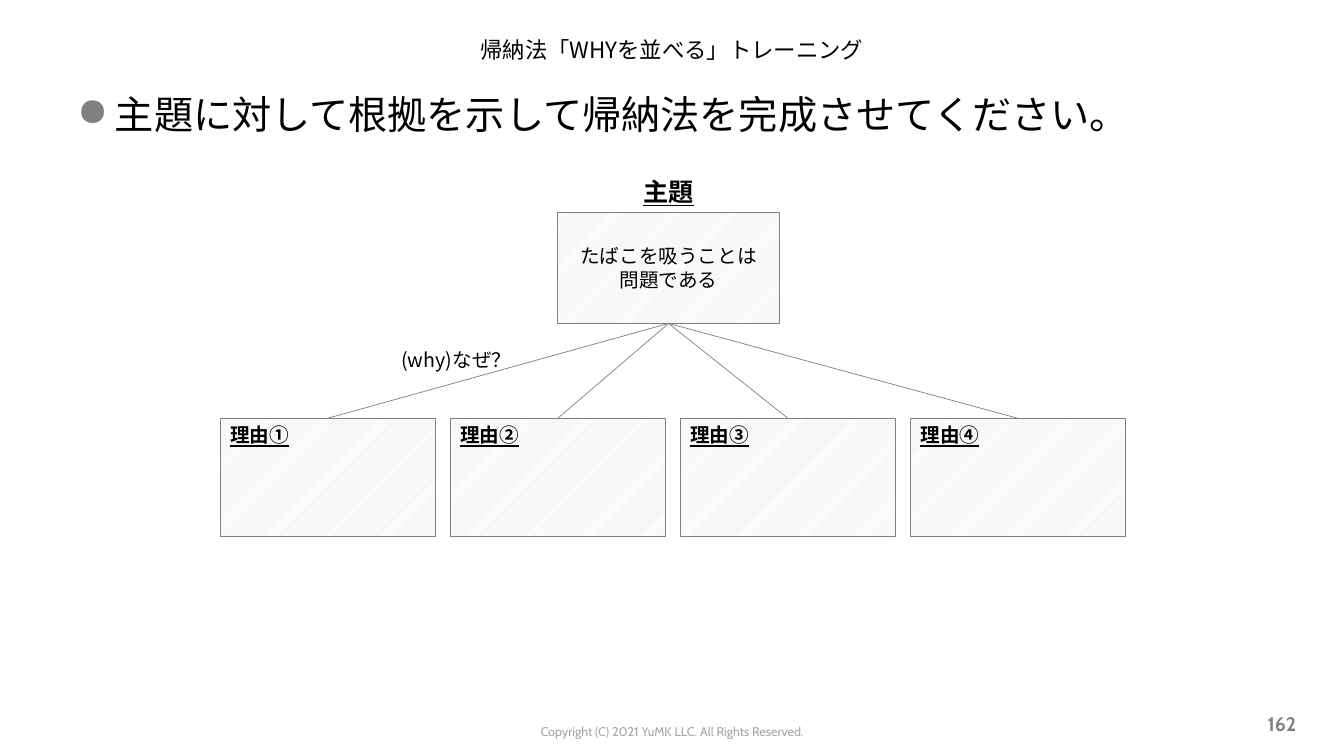
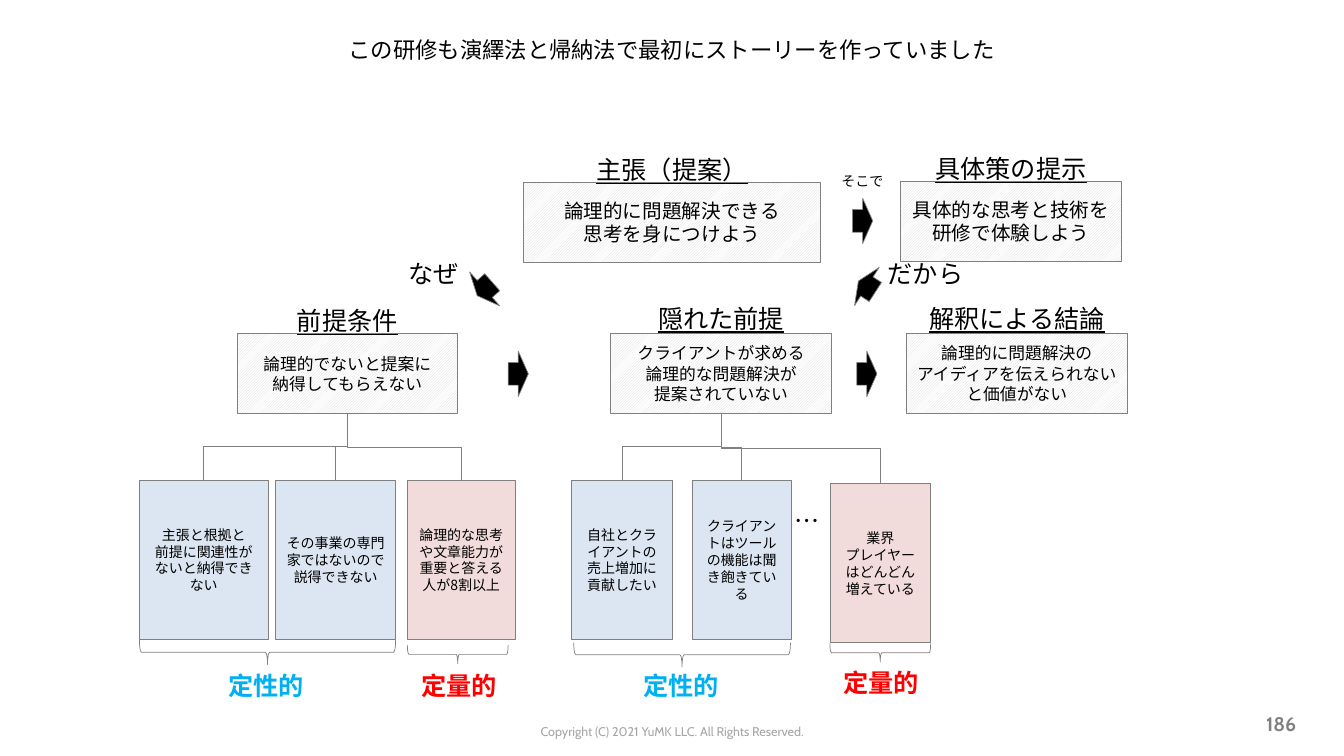
from dataclasses import dataclass

from lxml.etree import SubElement
from pptx import Presentation
from pptx.dml.color import RGBColor
from pptx.enum.dml import MSO_PATTERN
from pptx.enum.shapes import MSO_CONNECTOR, MSO_SHAPE
from pptx.enum.text import MSO_ANCHOR, MSO_AUTO_SIZE, PP_ALIGN
from pptx.oxml.ns import qn
from pptx.util import Emu, Pt

COLUMNS, ROWS = 160, 90
CELL = 76200  # one square grid cell, in EMU
TOP, BOTTOM = 0, 2  # connection sites of a rectangle


@dataclass(frozen=True)
class Theme:
    body_font: str = "Noto Sans CJK JP"
    footer_font: str = "Cabin"
    ink: str = "000000"
    grey: str = "808080"
    pale_grey: str = "A6A6A6"
    hatch: str = "D9D9D9"
    paper: str = "FFFFFF"
    blue_fill: str = "DCE6F2"
    red_fill: str = "F2DCDB"
    blue: str = "00B0F0"
    red: str = "FF0000"
    lead: int = 28
    heading: int = 18
    title: int = 16
    text: int = 14
    compact: int = 12
    small: int = 10
    footer: int = 9
    hairline: float = 0.5


def rgb(value):
    return RGBColor.from_string(value)


def cells(*lengths):
    return [Emu(round(length * CELL)) for length in lengths]


class Deck:
    """Holds the theme and the slide being drawn; places are in grid cells."""

    def __init__(self, theme):
        self.theme = theme
        self.file = Presentation()
        self.file.slide_width, self.file.slide_height = cells(COLUMNS, ROWS)
        self.slide = None

    def new_slide(self, title, number):
        t = self.theme
        self.slide = self.file.slides.add_slide(self.file.slide_layouts[6])
        self.text((50.4, 85.6, 59.2, 3), "Copyright (C) 2021 YuMK LLC. All Rights Reserved.",
                  t.footer, t.pale_grey, PP_ALIGN.CENTER, font=t.footer_font, wrap=True)
        self.text((8, 2.6, 144, 6.5), title, t.title, align=PP_ALIGN.CENTER,
                  anchor=MSO_ANCHOR.MIDDLE, wrap=True)
        self.text((118.2, 83.8, 37.3, 4.8), number, t.text, t.grey, PP_ALIGN.RIGHT,
                  MSO_ANCHOR.MIDDLE, bold=True, font=t.footer_font, wrap=True)

    def add_lines(self, frame, words, size, color=None, align=PP_ALIGN.LEFT,
                  anchor=MSO_ANCHOR.TOP, bold=False, underline=False, font=None):
        """Fill a text frame, one paragraph for each line of words."""
        frame.vertical_anchor = anchor
        for index, line in enumerate(words.split("\n")):
            paragraph = frame.add_paragraph() if index else frame.paragraphs[0]
            paragraph.alignment = align
            run = paragraph.add_run()
            run.text = line
            style = run.font
            style.size, style.bold, style.underline = Pt(size), bold, underline
            style.color.rgb = rgb(color or self.theme.ink)
            style.name = font or self.theme.body_font
            SubElement(style._element, qn("a:ea"), typeface=style.name)

    def text(self, place, words, size, *args, wrap=False, **style):
        label = self.slide.shapes.add_textbox(*cells(*place))
        label.text_frame.word_wrap = wrap
        if not wrap:
            label.text_frame.auto_size = MSO_AUTO_SIZE.SHAPE_TO_FIT_TEXT
        self.add_lines(label.text_frame, words, size, *args, **style)
        return label

    def bullet(self, place, words):
        item = self.text(place, words, self.theme.lead, wrap=True)
        properties = item.text_frame.paragraphs[0]._p.get_or_add_pPr()
        hanging = round(4.5 * CELL)
        properties.set("marL", str(hanging))
        properties.set("indent", str(-hanging))
        tint = SubElement(properties, qn("a:buClr"))
        SubElement(tint, qn("a:srgbClr"), val=self.theme.grey)
        SubElement(properties, qn("a:buChar"), char="●")

    def outline(self, line):
        line.color.rgb = rgb(self.theme.grey)
        line.width = Pt(self.theme.hairline)

    def shape(self, kind, place, rotation=0):
        part = self.slide.shapes.add_shape(kind, *cells(*place))
        part.shadow.inherit = False
        part.rotation = rotation
        self.outline(part.line)
        return part

    def box(self, place, words, size, fill=None, align=PP_ALIGN.CENTER,
            anchor=MSO_ANCHOR.MIDDLE, **style):
        """Rectangle with text; hatched unless a fill colour is given."""
        part = self.shape(MSO_SHAPE.RECTANGLE, place)
        if fill:
            part.fill.solid()
            part.fill.fore_color.rgb = rgb(fill)
        else:
            part.fill.patterned()
            part.fill.pattern = MSO_PATTERN.LIGHT_UPWARD_DIAGONAL
            part.fill.fore_color.rgb = rgb(self.theme.hatch)
            part.fill.back_color.rgb = rgb(self.theme.paper)
        part.text_frame.word_wrap = True
        self.add_lines(part.text_frame, words, size, align=align, anchor=anchor, **style)
        return part

    def heading(self, place, words, lift=3.9, bold=False):
        """Underlined heading centred over the box at place."""
        left, top, width, _ = place
        self.text((left, top - lift, width, 4.8), words, self.theme.heading,
                  align=PP_ALIGN.CENTER, bold=bold, underline=True)

    def arrow(self, left, top, rotation=0):
        part = self.shape(MSO_SHAPE.RIGHT_ARROW, (left, top, 2.4, 5.4), rotation)
        part.fill.solid()
        part.fill.fore_color.rgb = rgb(self.theme.ink)

    def brace(self, left, top, width, depth):
        """Brace that spans width and points down."""
        place = (left + (width - depth) / 2, top + (depth - width) / 2, depth, width)
        self.shape(MSO_SHAPE.LEFT_BRACE, place, 270).fill.background()

    def link(self, parent, child, kind=MSO_CONNECTOR.STRAIGHT):
        line = self.slide.shapes.add_connector(kind, 0, 0, 0, 0)
        line.begin_connect(parent, BOTTOM)
        line.end_connect(child, TOP)
        self.outline(line.line)
        SubElement(line._element.spPr, qn("a:effectLst"))
        return line

    def branch(self, parent, child):
        """Elbow that leaves the parent downwards: a quarter-turned connector."""
        line = self.link(parent, child, MSO_CONNECTOR.ELBOW)
        across, down = line.end_x - line.begin_x, line.end_y - line.begin_y
        middle_x = (line.begin_x + line.end_x) // 2
        middle_y = (line.begin_y + line.end_y) // 2
        line.width, line.height = Emu(down), Emu(abs(across))
        line.left = Emu(middle_x - down // 2)
        line.top = Emu(middle_y - abs(across) // 2)
        frame = line._element.spPr.find(qn("a:xfrm"))
        frame.attrib.pop("flipH", None)
        frame.set("rot", "5400000")
        frame.set("flipV", "1" if across > 0 else "0")


def induction_exercise(deck):
    t = deck.theme
    deck.new_slide("帰納法「WHYを並べる」トレーニング", "162")
    deck.bullet((8, 10.2, 144, 69.5), "主題に対して根拠を示して帰納法を完成させてください。")
    subject_place = (66.4, 25.3, 26.4, 13.2)
    subject = deck.box(subject_place, "たばこを吸うことは\n問題である", t.text)
    deck.heading(subject_place, "主題", 4.9, bold=True)
    for index, digit in enumerate("①②③④"):
        reason = deck.box((26.2 + 27.4 * index, 49.8, 25.6, 14), "理由" + digit, t.text,
                          align=PP_ALIGN.LEFT, anchor=MSO_ANCHOR.TOP, bold=True, underline=True)
        deck.link(subject, reason)
    deck.text((46.6, 40.8, 16.3, 4.1), "(why)なぜ？", t.text)


def training_story(deck):
    t = deck.theme
    deck.new_slide("この研修も演繹法と帰納法で最初にストーリーを作っていました", "186")

    statements = [
        ("主張（提案）", (62.3, 21.7, 35.4, 9.5), t.text, 3.9,
         "論理的に問題解決できる\n思考を身につけよう"),
        ("具体策の提示", (107.2, 21.6, 26.3, 9.5), t.text, 3.9,
         "具体的な思考と技術を\n研修で体験しよう"),
        ("前提条件", (28.2, 39.7, 26.3, 9.5), t.compact, 3.9,
         "論理的でないと提案に\n納得してもらえない"),
        ("隠れた前提", (72.7, 39.7, 26.3, 9.5), t.compact, 4.2,
         "クライアントが求める\n論理的な問題解決が\n提案されていない"),
        ("解釈による結論", (107.9, 39.7, 26.3, 9.5), t.compact, 4.2,
         "論理的に問題解決の\nアイディアを伝えられないと価値がない"),
    ]
    boxes = {}
    for name, place, size, lift, words in statements:
        boxes[name] = deck.box(place, words, size)
        deck.heading(place, name, lift)

    evidence = [
        ("前提条件", 16.6, 57.2, 15.3, t.blue_fill,
         "主張と根拠と\n前提に関連性がないと納得できない"),
        ("前提条件", 32.8, 57.2, 14.3, t.blue_fill, "その事業の専門家ではないので説得できない"),
        ("前提条件", 48.5, 57.2, 12.8, t.red_fill,
         "論理的な思考や文章能力が重要と答える人が8割以上"),
        ("隠れた前提", 68, 57.2, 12.1, t.blue_fill, "自社とクライアントの売上増加に貢献したい"),
        ("隠れた前提", 82.4, 57.2, 11.8, t.blue_fill,
         "クライアントはツールの機能は聞き飽きている"),
        ("隠れた前提", 98.8, 57.6, 12, t.red_fill,
         "業界\nプレイヤーはどんどん\n増えている"),
    ]
    for parent, left, top, width, fill, words in evidence:
        leaf = deck.box((left, top, width, 18.9), words, t.small, fill)
        deck.branch(boxes[parent], leaf)
    deck.text((93.4, 59.6, 5.4, 4.8), "…", t.heading)

    qualitative, quantitative = ("定性的", t.blue), ("定量的", t.red)
    groups = [
        (qualitative, (16.6, 76.2, 30.5, 2.9), (26, 79.2)),
        (quantitative, (48.5, 76.8, 12, 2.2), (49, 79.2)),
        (qualitative, (68.3, 76.5, 25.8, 2.9), (75.4, 79.2)),
        (quantitative, (98.8, 76.6, 12, 2.2), (99.2, 78.8)),
    ]
    for (name, color), span, corner in groups:
        deck.brace(*span)
        deck.text((*corner, 11.5, 4.8), name, t.heading, color, bold=True)

    for left, top, rotation in [(60.5, 41.8, 0), (102, 41.8, 0), (101.5, 23.6, 0),
                                (102, 31.4, 212.9), (56.5, 31.7, 138.4)]:
        deck.arrow(left, top, rotation)
    deck.text((99, 20, 7.4, 3.2), "そこで", t.small)
    deck.text((47.4, 30.2, 8.5, 4.8), "なぜ", t.heading)
    deck.text((104.5, 30.2, 11.5, 4.8), "だから", t.heading)


def main():
    deck = Deck(Theme())
    induction_exercise(deck)
    training_story(deck)
    deck.file.save("out.pptx")


if __name__ == "__main__":
    main()
